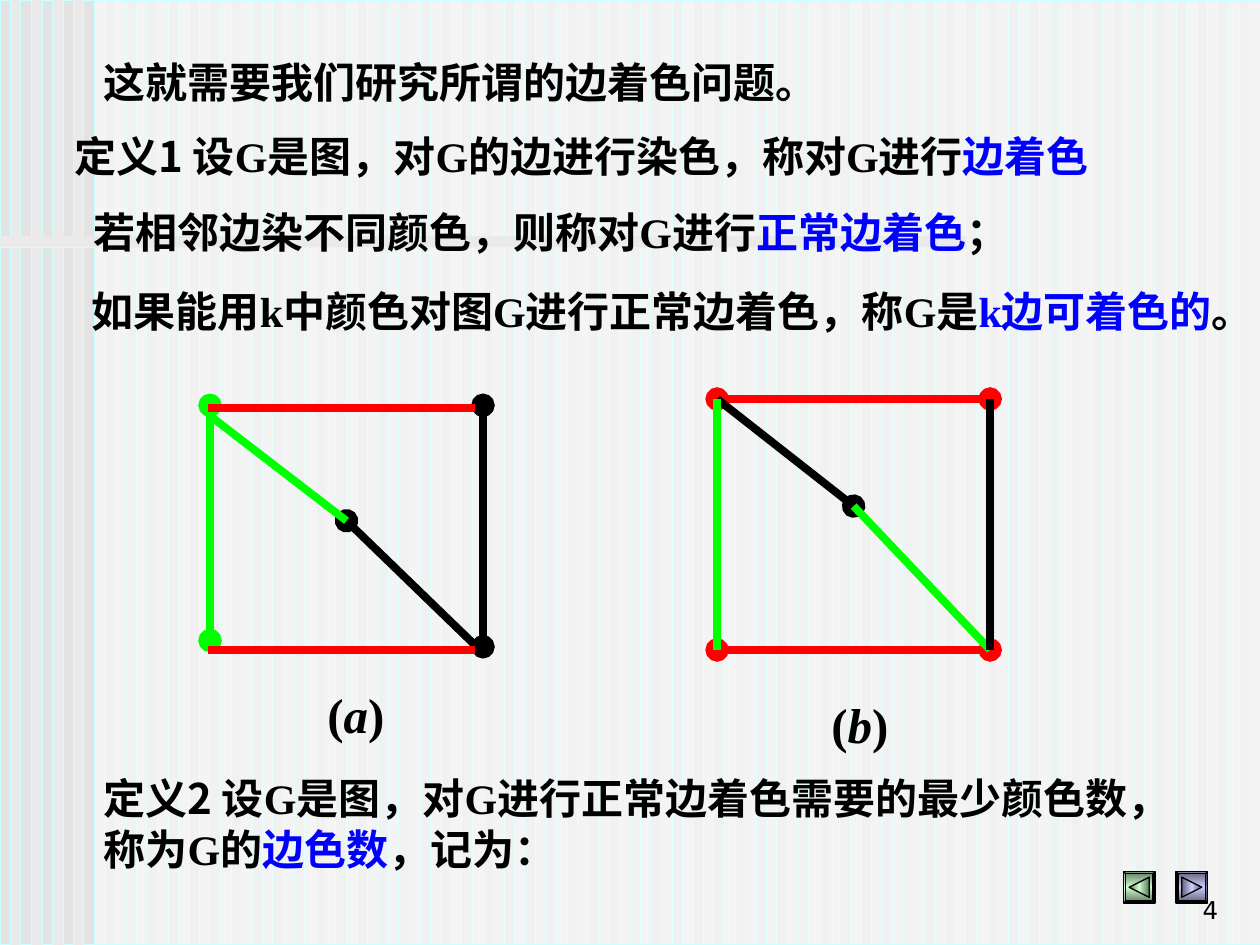
from lxml.etree import SubElement
from pptx import Presentation
from pptx.dml.color import RGBColor
from pptx.enum.shapes import MSO_CONNECTOR, MSO_SHAPE
from pptx.enum.text import MSO_ANCHOR, PP_ALIGN
from pptx.oxml import parse_xml
from pptx.oxml.ns import nsdecls, qn
from pptx.util import Inches, Pt

BLACK = RGBColor(0, 0, 0)
RED = RGBColor(0xFF, 0, 0)
GREEN = RGBColor(0, 0xFF, 0)
BLUE = RGBColor(0, 0, 0xFF)
WHITE = RGBColor(0xFF, 0xFF, 0xFF)
PAPER = RGBColor(0xEA, 0xEA, 0xEA)
STRIPE = RGBColor(0xDD, 0xDD, 0xDD)
STEEL = RGBColor(0x33, 0x66, 0x99)
PALE_CYAN = RGBColor(0xCC, 0xFF, 0xFF)
DARK_SAGE, SAGE = RGBColor(0x5E, 0x76, 0x5E), RGBColor(0xCC, 0xFF, 0xCC)
DARK_LILAC, LILAC = RGBColor(0x5E, 0x5E, 0x76), RGBColor(0xCC, 0xCC, 0xFF)

SERIF, SANS, DIGITS = "Times New Roman", "Noto Sans CJK SC", "DejaVu Sans"

# The slide is a grid of 60 columns by 45 rows
COLUMNS, ROWS = 60, 45
CELL = Inches(10) / COLUMNS

prs = Presentation()
prs.slide_width, prs.slide_height = Inches(10), Inches(7.5)
slide = prs.slides.add_slide(prs.slide_layouts[6])
slide.background.fill.solid()
slide.background.fill.fore_color.rgb = PAPER


def add_edge(start, end, color, width=4.5, dots=()):
    ends = [round(n * CELL) for n in (*start, *end)]
    edge = slide.shapes.add_connector(MSO_CONNECTOR.STRAIGHT, *ends)
    edge.line.color.rgb = color
    edge.line.width = Pt(width)
    for dot in dots:
        SubElement(edge.line._get_or_add_ln(), qn(f"a:{dot}"), type="oval")
    SubElement(edge._element.spPr, qn("a:effectLst"))


def add_text(area, paragraphs, size=24, font=SERIF, bold=True):
    box = slide.shapes.add_textbox(*[round(n * CELL) for n in area])
    frame = box.text_frame
    frame.word_wrap = True
    for index, (indent, runs) in enumerate(paragraphs):
        paragraph = frame.paragraphs[0] if index == 0 else frame.add_paragraph()
        if index:
            paragraph.space_before = Pt(15)
        first_line, left = indent
        paragraph._p.get_or_add_pPr().set("marL", str(Inches(left)))
        paragraph._p.get_or_add_pPr().set("indent", str(Inches(first_line - left)))
        paragraph.font.size = Pt(size)
        paragraph.font.bold = bold
        paragraph.font.name = font
        paragraph.font.color.rgb = BLACK
        for text, style in runs:
            run = paragraph.add_run()
            run.text = text
            for name, value in style.items():
                if name == "color":
                    run.font.color.rgb = value
                else:
                    setattr(run.font, name, value)
    return frame


# Striped background, white sheet and horizontal band
bands = [(column, 0, 0.5, ROWS, STRIPE) for column in range(COLUMNS)]
bands += [(4.5, 0, 55.5, ROWS, WHITE), (0, 11.28, 45.6, 0.5, STEEL)]
for *area, color in bands:
    band = slide.shapes.add_shape(MSO_SHAPE.RECTANGLE, *[round(n * CELL) for n in area])
    band.shadow.inherit = False
    band.fill.solid()
    band.fill.fore_color.rgb = color
    tint = band._element.spPr.find(qn("a:solidFill"))[0]
    SubElement(tint, qn("a:alpha"), val="50000")
    band.line.color.rgb = PALE_CYAN
    band.line.width = Pt(0.5)

# Back and forward buttons
for column, turn, dark, light in ((53.5, -90, DARK_SAGE, SAGE), (56, 90, DARK_LILAC, LILAC)):
    for kind, inset, side in ((MSO_SHAPE.BEVEL, 0, 1.5), (MSO_SHAPE.ISOSCELES_TRIANGLE, 0.27, 0.96)):
        part = slide.shapes.add_shape(
            kind, *[round(n * CELL) for n in (column + inset, 41.5 + inset, side, side)])
        part.shadow.inherit = False
        part.line.color.rgb = BLACK
        part.line.width = Pt(0.75)
        if kind == MSO_SHAPE.BEVEL:
            part.adjustments[0] = 0.06
        else:
            part.rotation = turn
        stops = "".join(f'<a:gs pos="{pos}"><a:srgbClr val="{color}"/></a:gs>'
                        for pos, color in ((0, dark), (50000, light), (100000, dark)))
        part._element.spPr.find(qn("a:prstGeom")).addnext(parse_xml(
            f'<a:gradFill {nsdecls("a")}><a:gsLst>{stops}</a:gsLst>'
            '<a:lin ang="5400000" scaled="0"/></a:gradFill>'))

add_edge((0, 11.5), (46, 11.5), PAPER, width=6)

# Page number
page_number = add_text((46.1, 41.3, 12.5, 3), [((0, 0), [("4", {})])],
                       size=14, font=DIGITS, bold=False)
page_number.vertical_anchor = MSO_ANCHOR.BOTTOM
page_number.paragraphs[0].alignment = PP_ALIGN.RIGHT

# Definitions
sans = {"name": SANS}
term = {"name": SANS, "color": BLUE}
add_text((2, 2.4, 51, 3), [((0.39, 0), [("这就需要我们研究所谓的边着色问题。", {})])])
add_text((2, 5.9, 56.3, 6.7), [
    ((0.16, 0), [("定义1 ", sans), ("设G是图，对G的边进行染色，称对G进行", {}), ("边着色", term)]),
    ((0.31, 0), [("若相邻边染不同颜色，则称对G进行", {}), ("正常边着色", term), ("；", {})]),
])
colorable = add_text((1.5, 13.3, 58.5, 5.4), [
    ((0.38, 0), [("如果能用k中颜色对图G进行正常边着色，称G是", {}),
                 ("k边可着色的", {"color": BLUE}), ("。", {})]),
])
colorable.margin_right = 0
add_text((2, 36.5, 54.6, 5.4), [
    ((0.39, 0.39), [("定义2 ", sans),
                    ("设G是图，对G进行正常边着色需要的最少颜色数， 称为G的", {}),
                    ("边色数", term), ("，记为：", {})]),
])

# Graph edges, with vertices as round line ends
both = ("headEnd", "tailEnd")
left, right, top, bottom = 10, 23, 19.3, 30.8
center = (16.5, 24.8)
add_edge(center, (22.7, bottom), BLACK, dots=["headEnd"])
add_edge((right, top), (right, bottom), BLACK, dots=both)
add_edge((left, top), (left, 30.5), GREEN, dots=both)
add_edge((left, 19.8), center, GREEN)
for row in (19.45, 30.95):
    add_edge((9.9, row), (22.6, row), RED)

left, right, top, bottom = 34.15, 47.15, 19, 30.95
center = (40.65, 24.1)
for row in (top, bottom):
    add_edge((left, row), (right, row), RED, dots=both)
add_edge((left, top), center, BLACK, dots=["tailEnd"])
add_edge(center, (right, bottom), GREEN)
add_edge((left, top), (left, bottom), GREEN)
add_edge((right, top), (right, bottom), BLACK)

# Graph labels
for letter, column, row in (("a", 15, 32.3), ("b", 39, 32.8)):
    add_text((column, row, 4.2, 3.4),
             [((0, 0), [("(", {}), (letter, {"italic": True}), (")", {})])], size=28)

prs.save("out.pptx")
